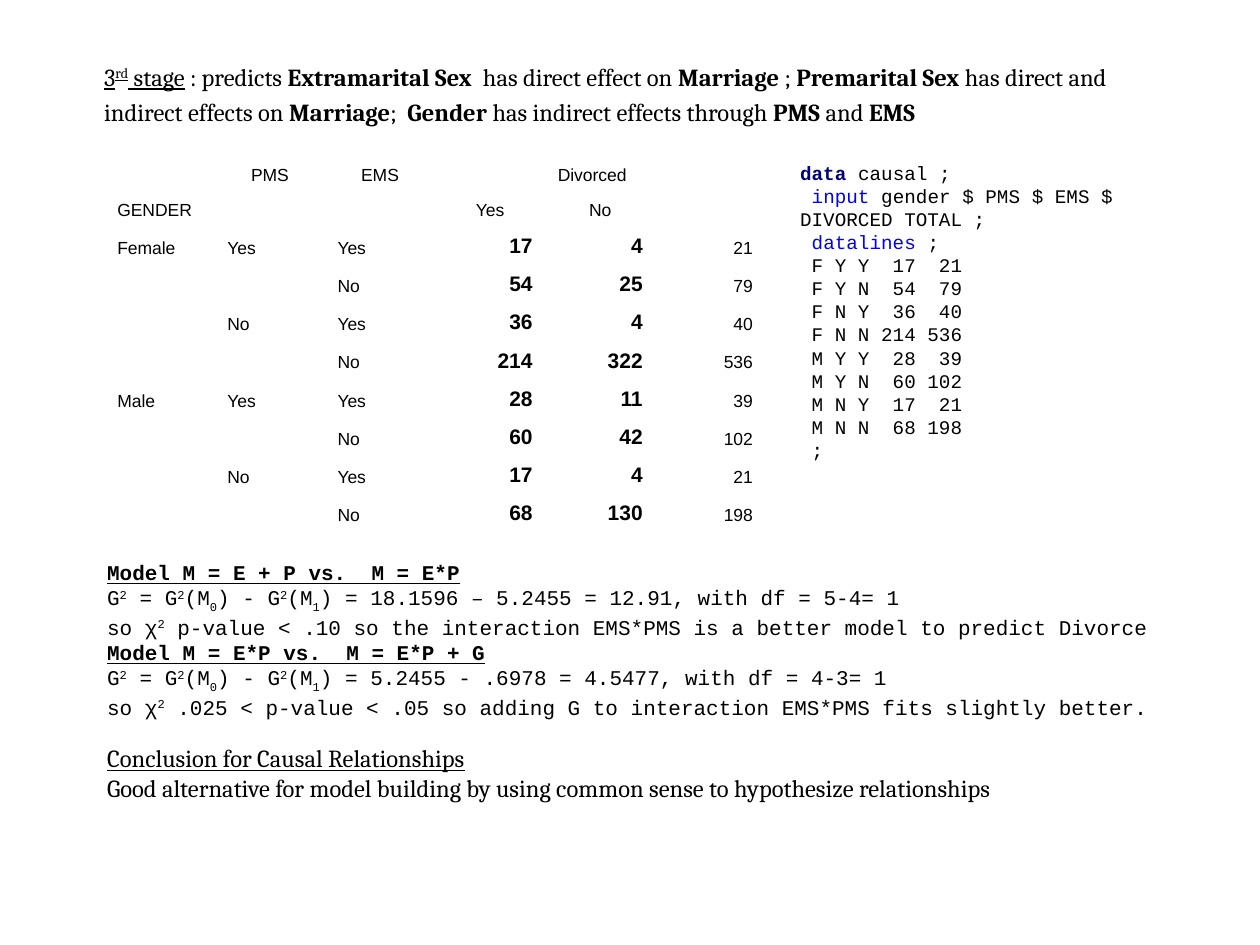
from itertools import product

from pptx import Presentation
from pptx.dml.color import RGBColor
from pptx.enum.text import MSO_ANCHOR as Anchor, MSO_AUTO_SIZE as AutoSize, PP_ALIGN as Align
from pptx.util import Cm, Pt

BLACK = RGBColor(0x00, 0x00, 0x00)
NAVY = RGBColor(0x00, 0x00, 0x80)
BLUE = RGBColor(0x00, 0x00, 0xFF)

SERIF = {"name": "Cambria", "size": Pt(14)}
CODE = {"name": "Courier New", "size": Pt(11)}
MODEL = {"name": "Courier New", "size": Pt(12)}
LABEL = {"name": "Arial", "size": Pt(10)}
COUNT = {"name": "Arial", "size": Pt(12), "bold": True}
BOLD = {"bold": True}
UNDERLINE = {"underline": True}
HEADING = {"bold": True, "underline": True}
KEYWORD = {"color": BLUE}
SUPER = {"baseline": "30000"}
SUB = {"baseline": "-30000"}

COUNTS = [(17, 4), (54, 25), (36, 4), (214, 322), (28, 11), (60, 42), (17, 4), (68, 130)]
CASES = [
    (*levels, divorced, divorced + married)
    for levels, (divorced, married) in zip(
        product(("Female", "Male"), ("Yes", "No"), ("Yes", "No")), COUNTS
    )
]


def add_run(paragraph, text, values):
    run = paragraph.add_run()
    run.text = text
    run.font.color.rgb = values.get("color", BLACK)
    if "baseline" in values:
        run.font._element.set("baseline", values["baseline"])
    for name, value in values.items():
        if name not in ("color", "baseline"):
            setattr(run.font, name, value)


def add_text(slide, box, lines, wrap=False):
    shape = slide.shapes.add_textbox(*(Cm(length) for length in box))
    frame = shape.text_frame
    frame.word_wrap = wrap
    frame.auto_size = AutoSize.SHAPE_TO_FIT_TEXT
    for index, (base, space_before, runs) in enumerate(lines):
        paragraph = frame.add_paragraph() if index else frame.paragraphs[0]
        paragraph.space_before = Pt(space_before)
        for text, values in runs:
            add_run(paragraph, text, {**base, **values})


def fill_cell(cell, text="", align=Align.LEFT, values=LABEL):
    cell.fill.background()
    cell.vertical_anchor = Anchor.BOTTOM
    paragraph = cell.text_frame.paragraphs[0]
    paragraph.alignment = align
    if text:
        add_run(paragraph, text, values)
    else:
        paragraph._p.get_or_add_endParaRPr().set("sz", "1000")


def table_rows():
    blank = ("",)
    yield [blank, ("PMS", Align.CENTER), ("EMS", Align.CENTER), blank, ("Divorced",), blank]
    yield [("GENDER",), blank, blank, ("Yes", Align.CENTER), ("No", Align.CENTER), blank]
    for index, (gender, pms, ems, divorced, total) in enumerate(CASES):
        yield [
            (gender if index % 4 == 0 else "",),
            (pms if index % 2 == 0 else "",),
            (ems,),
            (str(divorced), Align.RIGHT, COUNT),
            (str(total - divorced), Align.RIGHT, COUNT),
            (str(total), Align.RIGHT),
        ]


def add_counts_table(slide):
    rows = list(table_rows())
    table = slide.shapes.add_table(
        len(rows), len(rows[0]), Cm(2.11), Cm(3.18), Cm(13.32), Cm(7.54)
    ).table
    table.first_row = table.horz_banding = False
    for column in table.columns:
        column.width = Cm(2.22)
    for index, contents in enumerate(rows):
        table.rows[index].height = Cm(0.69 if index < 2 else 0.77)
        for cell, content in zip(table.rows[index].cells, contents):
            fill_cell(cell, *content)


def stage_lines():
    first = [
        ("3", UNDERLINE), ("rd", {**UNDERLINE, **SUPER}), (" stage", UNDERLINE),
        (" : predicts ", {}), ("Extramarital Sex ", BOLD), (" has direct effect on ", {}),
        ("Marriage", BOLD), (" ; ", {}), ("Premarital Sex", BOLD), (" has direct and", {}),
    ]
    second = [
        ("indirect effects on ", {}), ("Marriage", BOLD), ("; ", {}), (" Gender ", BOLD),
        ("has indirect effects through ", {}), ("PMS", BOLD), (" and ", {}), ("EMS", BOLD),
    ]
    return [(SERIF, 3.5, first), (SERIF, 3.5, second)]


def code_lines():
    cases = [
        f" {gender[0]} {pms[0]} {ems[0]} {divorced:>3} {total:>3}"
        for gender, pms, ems, divorced, total in CASES
    ]
    lines = [
        [("data", {"bold": True, "color": NAVY}), (" causal ;", {})],
        [(" ", {}), ("input", KEYWORD), (" gender $ PMS $ EMS $ \tDIVORCED TOTAL ;", {})],
        [(" ", {}), ("datalines", KEYWORD), (" ;", {})],
        *([(text, {})] for text in cases + [" ;"]),
    ]
    return [(CODE, 0, runs) for runs in lines]


def comparison_lines(heading, difference, finding):
    square = ("2", SUPER)
    lines = [
        [(heading, HEADING)],
        [
            ("G", {}), square, (" = G", {}), square, ("(M", {}), ("0", SUB),
            (") - G", {}), square, ("(M", {}), ("1", SUB), (f") = {difference}", {}),
        ],
        [("so χ", {}), square, (f" {finding}", {})],
    ]
    return [(MODEL, 0, runs) for runs in lines]


def conclusion_lines():
    return [
        (SERIF, 13.6, [("Conclusion for Causal Relationships", UNDERLINE)]),
        (SERIF, 0, [(
            "Good alternative for model building by using common sense"
            " to hypothesize relationships", {},
        )]),
    ]


def main():
    presentation = Presentation()
    presentation.slide_width, presentation.slide_height = Cm(25.4), Cm(19.05)
    slide = presentation.slides.add_slide(presentation.slide_layouts[6])

    add_text(slide, (1.85, 1.12, 21.79, 1.57), stage_lines())
    add_counts_table(slide)
    add_text(slide, (15.88, 3.12, 7.82, 6.32), code_lines(), wrap=True)
    add_text(slide, (1.91, 11.15, 21.49, 5.77), [
        *comparison_lines(
            "Model M = E + P vs.  M = E*P",
            "18.1596 – 5.2455 = 12.91, with df = 5-4= 1",
            "p-value < .10 so the interaction EMS*PMS is a better model to predict Divorce",
        ),
        *comparison_lines(
            "Model M = E*P vs.  M = E*P + G",
            "5.2455 - .6978 = 4.5477, with df = 4-3= 1",
            ".025 < p-value < .05 so adding G to interaction EMS*PMS fits slightly better.",
        ),
        *conclusion_lines(),
    ])
    presentation.save("out.pptx")


if __name__ == "__main__":
    main()
